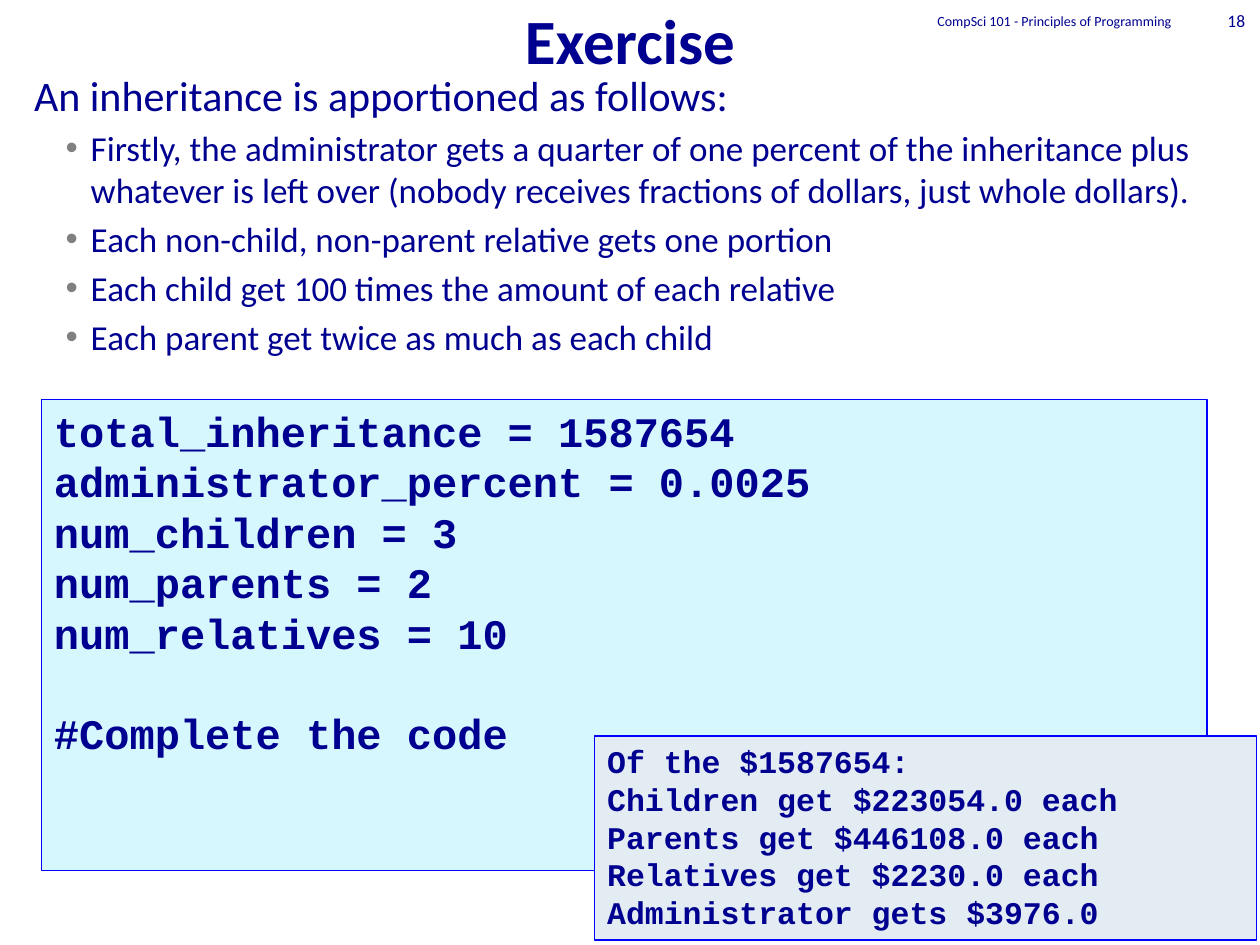
from lxml import etree
from pptx import Presentation
from pptx import util as u
from pptx.dml.color import RGBColor
from pptx.enum import shapes, text
from pptx.oxml.ns import qn

NAVY = RGBColor(0x00, 0x00, 0x90)
BLUE = RGBColor(0x00, 0x00, 0xFF)
CYAN = RGBColor(0xD7, 0xF7, 0xFF)
PALE = RGBColor(0xE3, 0xEB, 0xF3)
GREY = RGBColor(0x80, 0x80, 0x80)

INTRO = "An inheritance is apportioned as follows:"
RULES = [
    "Firstly, the administrator gets a quarter of one percent of the inheritance plus "
    "whatever is left over (nobody receives fractions of dollars, just whole dollars).",
    "Each non-child, non-parent relative gets one portion",
    "Each child get 100 times the amount of each relative",
    "Each parent get twice as much as each child",
]
CODE = [
    "total_inheritance = 1587654",
    "administrator_percent = 0.0025",
    "num_children = 3",
    "num_parents = 2",
    "num_relatives = 10",
    "#Complete the code",
]
OUTPUT = [
    "Of the $1587654:",
    "Children get $223054.0 each",
    "Parents get $446108.0 each",
    "Relatives get $2230.0 each",
    "Administrator gets $3976.0",
]


class ExercisePage:
    """Holds the text style and the current slide, and adds its elements."""

    body_font = "Calibri"
    code_font = "Courier New"
    code_pitch = 1.2

    def __init__(self, deck):
        self.page = deck.slides.add_slide(deck.slide_layouts[1])

    def place(self, box, left, top, width, height):
        box.left, box.top = u.Inches(left), u.Inches(top)
        box.width, box.height = u.Inches(width), u.Inches(height)

    def add_span(self, para, words, size, font=body_font, bold=False):
        span = para.add_run()
        span.text = words
        span.font.name = font
        span.font.size = u.Pt(size)
        span.font.bold = bold
        span.font.color.rgb = NAVY

    def title(self, words, *area):
        box = self.page.shapes.title
        self.place(box, *area)
        frame = box.text_frame
        frame.auto_size = text.MSO_AUTO_SIZE.NONE
        frame.vertical_anchor = text.MSO_ANCHOR.BOTTOM
        para = frame.paragraphs[0]
        para.alignment = text.PP_ALIGN.CENTER
        self.add_span(para, words, 36, bold=True)

    def bullet(self, para):
        props = para._p.get_or_add_pPr()
        props.set("marL", str(u.Inches(0.45)))
        props.set("indent", str(u.Inches(-0.2)))
        colour = etree.SubElement(props, qn("a:buClr"))
        etree.SubElement(colour, qn("a:srgbClr"), val=str(GREY))
        etree.SubElement(props, qn("a:buFont"), typeface="Arial")
        etree.SubElement(props, qn("a:buChar"), char="•")

    def body(self, intro, points, *area):
        box = self.page.placeholders[1]
        self.place(box, *area)
        frame = box.text_frame
        frame.auto_size = text.MSO_AUTO_SIZE.NONE
        first = frame.paragraphs[0]
        props = first._p.get_or_add_pPr()
        props.set("marL", "0")
        props.set("indent", "0")
        etree.SubElement(props, qn("a:buNone"))
        self.add_span(first, intro, 24)
        for point in points:
            para = frame.add_paragraph()
            para.level = 1
            para.space_before = u.Pt(4)
            self.bullet(para)
            self.add_span(para, point, 20)

    def header(self, words, size, *area):
        box = self.page.shapes.add_textbox(*map(u.Inches, area))
        frame = box.text_frame
        frame.word_wrap = True
        frame.vertical_anchor = text.MSO_ANCHOR.MIDDLE
        para = frame.paragraphs[0]
        para.alignment = text.PP_ALIGN.RIGHT
        self.add_span(para, words, size)

    def code(self, lines, size, fill, *area):
        box = self.page.shapes.add_shape(
            shapes.MSO_SHAPE.RECTANGLE, *map(u.Inches, area))
        box.shadow.inherit = False
        box.fill.solid()
        box.fill.fore_color.rgb = fill
        box.line.color.rgb = BLUE
        box.line.width = u.Pt(0.75)
        frame = box.text_frame
        frame.word_wrap = True
        frame.vertical_anchor = text.MSO_ANCHOR.TOP
        pitch = u.Pt(size * self.code_pitch)
        for index, line in enumerate(lines):
            para = frame.add_paragraph() if index else frame.paragraphs[0]
            para.alignment = text.PP_ALIGN.LEFT
            para.line_spacing = pitch
            if line.startswith("#"):
                para.space_before = pitch
            self.add_span(para, line, size, self.code_font, bold=True)


def main():
    deck = Presentation()
    deck.slide_width, deck.slide_height = u.Inches(10), u.Inches(7.5)
    page = ExercisePage(deck)
    page.title("Exercise", 0, -0.17, 10, 0.83)
    page.body(INTRO, RULES, 0.17, 0.5, 9.75, 6.42)
    page.header("CompSci 101 - Principles of Programming", 8, 6.4, 0.08, 3, 0.17)
    page.header("18", 10, 9.4, 0.08, 0.58, 0.17)
    page.code(CODE, 24, CYAN, 0.33, 3.17, 9.25, 3.74)
    page.code(OUTPUT, 18, PALE, 4.72, 5.84, 5.25, 1.62)
    deck.save("out.pptx")


if __name__ == "__main__":
    main()
